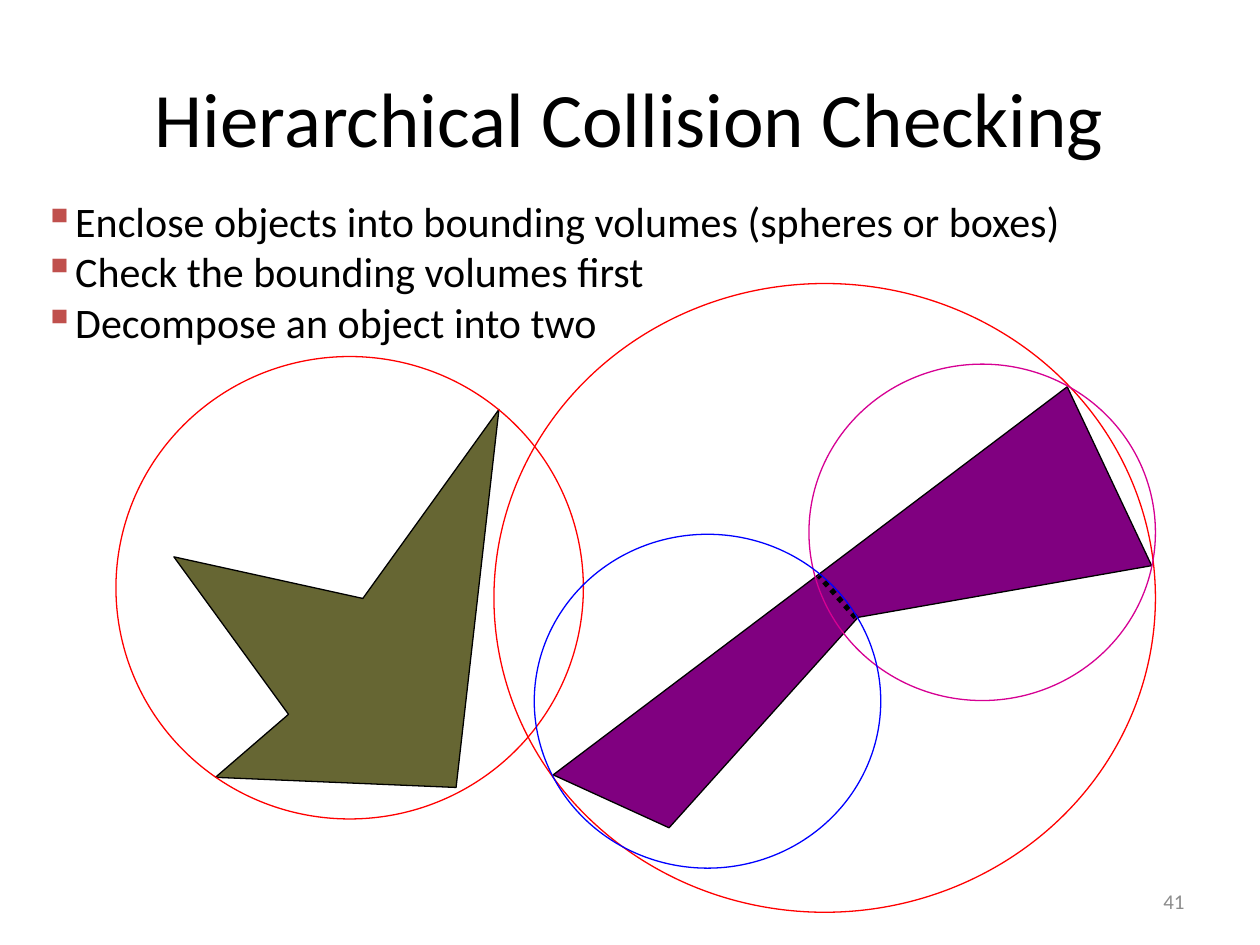
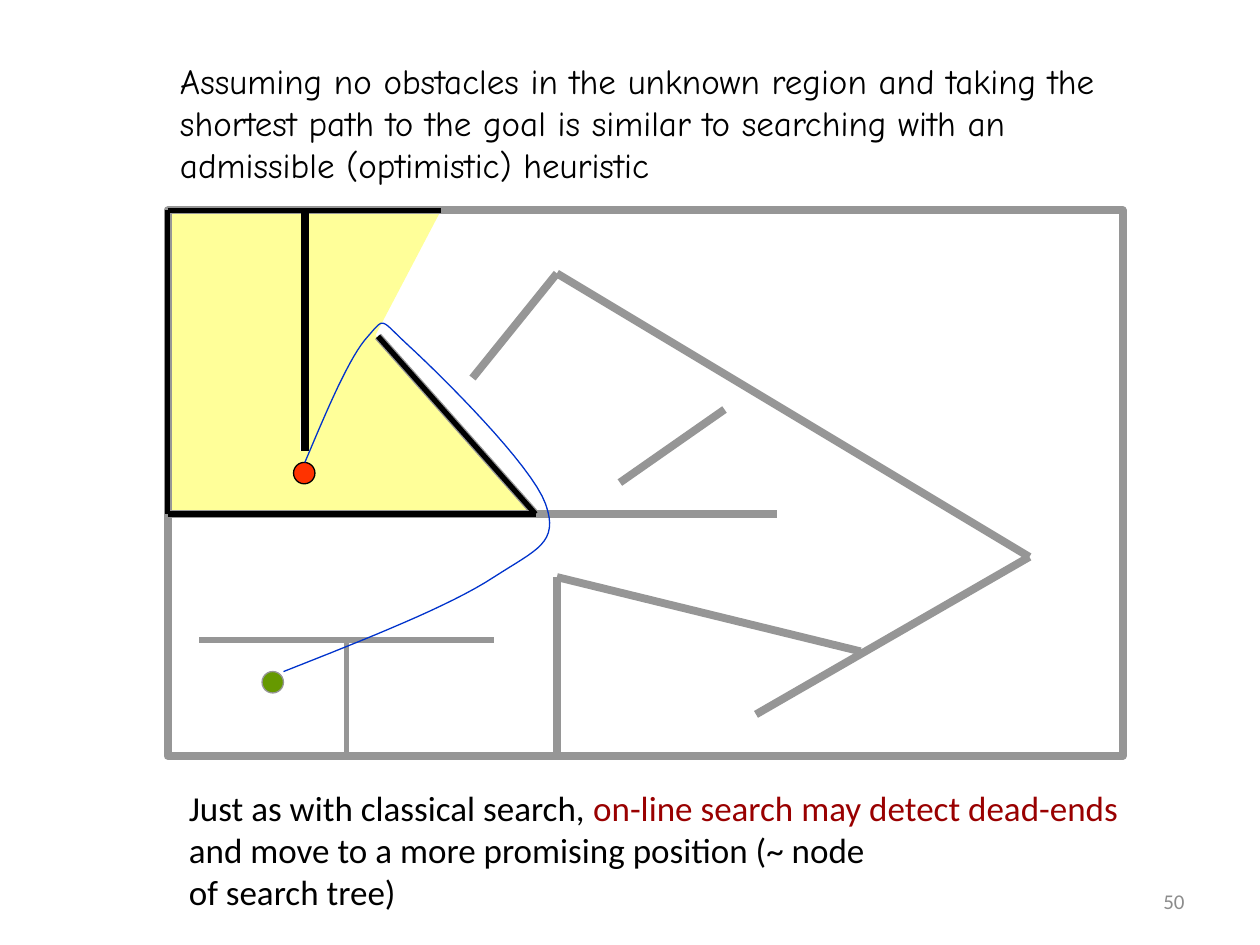
"""Build two motion planning slides: bounding volumes and on-line search."""
import lxml.etree
import pptx
import pptx.dml.color
import pptx.enum.dml
import pptx.enum.shapes
import pptx.enum.text
import pptx.oxml.ns
import pptx.util

RGBColor = pptx.dml.color.RGBColor
ALIGN = pptx.enum.text.PP_ALIGN
ANCHOR = pptx.enum.text.MSO_ANCHOR
OVAL = pptx.enum.shapes.MSO_SHAPE.OVAL
RECTANGLE = pptx.enum.shapes.MSO_SHAPE.RECTANGLE
qn = pptx.oxml.ns.qn

PX = 9144
BLACK = RGBColor(0x00, 0x00, 0x00)
NUMBER_GRAY = RGBColor(0x8C, 0x8C, 0x8C)
BULLET_RED = RGBColor(0xC0, 0x50, 0x4D)
OLIVE = RGBColor(0x66, 0x66, 0x33)
PURPLE = RGBColor(0x80, 0x00, 0x80)
RED = RGBColor(0xFF, 0x00, 0x00)
MAGENTA = RGBColor(0xD6, 0x00, 0x93)
BLUE = RGBColor(0x00, 0x00, 0xFF)
WALL_GRAY = RGBColor(0x96, 0x96, 0x96)
SEEN_YELLOW = RGBColor(0xFF, 0xFF, 0x99)
ROBOT_RED = RGBColor(0xFF, 0x33, 0x00)
GOAL_GREEN = RGBColor(0x66, 0x99, 0x00)
ROUTE_BLUE = RGBColor(0x00, 0x33, 0xCC)
DARK_RED = RGBColor(0x99, 0x00, 0x00)


def write(page, at, paragraphs, size, font="Calibri", color=BLACK,
          align=ALIGN.LEFT, anchor=ANCHOR.TOP):
    box = page.shapes.add_textbox(*(PX * value for value in at))
    frame = box.text_frame
    frame.word_wrap = True
    frame.vertical_anchor = anchor
    frame.text = "\n".join(paragraphs)
    for para in frame.paragraphs:
        para.alignment = align
        for span in para.runs:
            span.font.size = pptx.util.Pt(size)
            span.font.name = font
            span.font.color.rgb = color
    return frame


def draw(page, kind, points, fill=None, line=None, width=0.75):
    spots = [(round(x * PX), round(y * PX)) for x, y in points]
    if kind == "line":
        shape = page.shapes.add_connector(
            pptx.enum.shapes.MSO_CONNECTOR.STRAIGHT, *spots[0], *spots[1])
    elif kind == "path":
        builder = page.shapes.build_freeform(*spots[0], scale=1.0)
        builder.add_line_segments(spots[1:], close=fill is not None)
        shape = builder.convert_to_shape()
    else:
        shape = page.shapes.add_shape(kind, *spots[0], *spots[1])
    if line is None:
        shape.line.fill.background()
    else:
        shape.line.color.rgb = line
        shape.line.width = pptx.util.Pt(width)
    if kind == "line":
        lxml.etree.SubElement(shape.element.spPr, qn("a:effectLst"))
    else:
        shape.shadow.inherit = False
        if fill is None:
            shape.fill.background()
        else:
            shape.fill.solid()
            shape.fill.fore_color.rgb = fill
    return shape


deck = pptx.Presentation()
deck.slide_width = 1000 * PX
deck.slide_height = 750 * PX
pages = []
for number in ("41", "50"):
    page = deck.slides.add_slide(deck.slide_layouts[6])
    write(page, (717, 695, 233, 40), [number], 12, color=NUMBER_GRAY,
          align=ALIGN.RIGHT, anchor=ANCHOR.MIDDLE)
    pages.append(page)
collision_page, search_page = pages

write(collision_page, (50, 30, 900, 125), ["Hierarchical Collision Checking"], 44,
      align=ALIGN.CENTER, anchor=ANCHOR.MIDDLE)
bullets = write(collision_page, (25, 150, 834, 131), [
    "Enclose objects into bounding volumes (spheres or boxes)",
    "Check the bounding volumes first",
    "Decompose an object into two",
], 24)
for para in bullets.paragraphs:
    properties = para._p.get_or_add_pPr()
    properties.set("marL", str(19 * PX))
    properties.set("indent", str(-19 * PX))
    bullet_color = lxml.etree.SubElement(properties, qn("a:buClr"))
    lxml.etree.SubElement(bullet_color, qn("a:srgbClr"), val=str(BULLET_RED))
    lxml.etree.SubElement(properties, qn("a:buChar"), char="▪")

star = [(138, 442), (229, 567), (171, 617), (362, 625), (396, 325), (288, 475)]
bow = [(531, 657), (439, 615), (847, 307), (914, 449), (681, 490)]
bodies = [
    (star, OLIVE, [(92, 283), (371, 367)]),
    (bow, PURPLE, [(392, 225), (525, 499)]),
]
for corners, fill, sphere in bodies:
    draw(collision_page, "path", corners, fill, BLACK)
    draw(collision_page, OVAL, sphere, line=RED)
split = draw(collision_page, "line", [(679, 490), (650, 457)], line=BLACK, width=3)
split.line.dash_style = pptx.enum.dml.MSO_LINE.ROUND_DOT
draw(collision_page, OVAL, [(642, 289), (275, 267)], line=MAGENTA)
draw(collision_page, OVAL, [(424, 424), (275, 265)], line=BLUE)

seen_regions = [
    [(242, 167), (350, 167), (298, 266), (425, 408), (242, 408), (233, 358), (242, 358)],
    [(133, 167), (242, 167), (238, 357), (255, 401), (257, 408), (133, 408)],
]
for region in seen_regions:
    draw(search_page, "path", region, SEEN_YELLOW)
draw(search_page, RECTANGLE, [(133, 167), (758, 433)], line=WALL_GRAY, width=4.5)

walls = [
    (BLACK, 4.5, [(242, 167), (242, 358)]),
    (WALL_GRAY, 4.5, [(133, 408), (617, 408)]),
    (WALL_GRAY, 4.5, [(425, 408), (300, 267)]),
    (WALL_GRAY, 4.5, [(375, 300), (442, 217)]),
    (WALL_GRAY, 4.5, [(442, 217), (817, 442)]),
    (WALL_GRAY, 4.5, [(817, 442), (600, 567)]),
    (WALL_GRAY, 4.5, [(492, 383), (575, 325)]),
    (WALL_GRAY, 4.5, [(683, 517), (442, 458)]),
    (WALL_GRAY, 4.5, [(442, 458), (442, 600)]),
    (WALL_GRAY, 3, [(392, 508), (158, 508)]),
    (WALL_GRAY, 3, [(275, 508), (275, 600)]),
    (BLACK, 3, [(133, 408), (258, 408)]),
    (BLACK, 3, [(133, 167), (133, 408)]),
    (BLACK, 3, [(133, 167), (242, 167)]),
    (BLACK, 3, [(242, 167), (350, 167)]),
    (BLACK, 3, [(425, 408), (300, 267)]),
    (BLACK, 3, [(425, 408), (258, 408)]),
]
for color, width, ends in walls:
    draw(search_page, "line", ends, line=color, width=width)
draw(search_page, OVAL, [(233, 367), (17, 17)], ROBOT_RED, BLACK)
draw(search_page, OVAL, [(208, 533), (17, 17)], GOAL_GREEN, WALL_GRAY)

knots = [
    (242, 367), (260, 324), (278, 282), (292, 267),
    (306, 251), (301, 253), (325, 275),
    (349, 297), (422, 369), (433, 400),
    (444, 431), (426, 436), (392, 458),
    (357, 481), (291, 507), (225, 533),
]
STEPS = 16
route = [knots[0]]
for first in range(0, len(knots) - 1, 3):
    for step in range(1, STEPS + 1):
        t = step / STEPS
        weights = ((1 - t) ** 3, 3 * t * (1 - t) ** 2, 3 * t ** 2 * (1 - t), t ** 3)
        curve = knots[first:first + 4]
        route.append(tuple(sum(weight * knot[axis] for weight, knot in zip(weights, curve))
                           for axis in (0, 1)))
draw(search_page, "path", route, line=ROUTE_BLUE)

write(search_page, (133, 42, 758, 110), [
    "Assuming no obstacles in the unknown region and taking the shortest path to the goal "
    "is similar to searching with an admissible (optimistic) heuristic",
], 20, font="Comic Neue")
conclusion = write(search_page, (140, 619, 768, 110), [
    "Just as with classical search, ",
    "of search tree)",
], 20)
opening = conclusion.paragraphs[0]
for text, color in (("on-line search may detect dead-ends", DARK_RED),
                    (" and move to a more promising position (~ node", BLACK)):
    span = opening.add_run()
    span.text = text
    span.font.size = pptx.util.Pt(20)
    span.font.name = "Calibri"
    span.font.color.rgb = color

deck.save("out.pptx")
